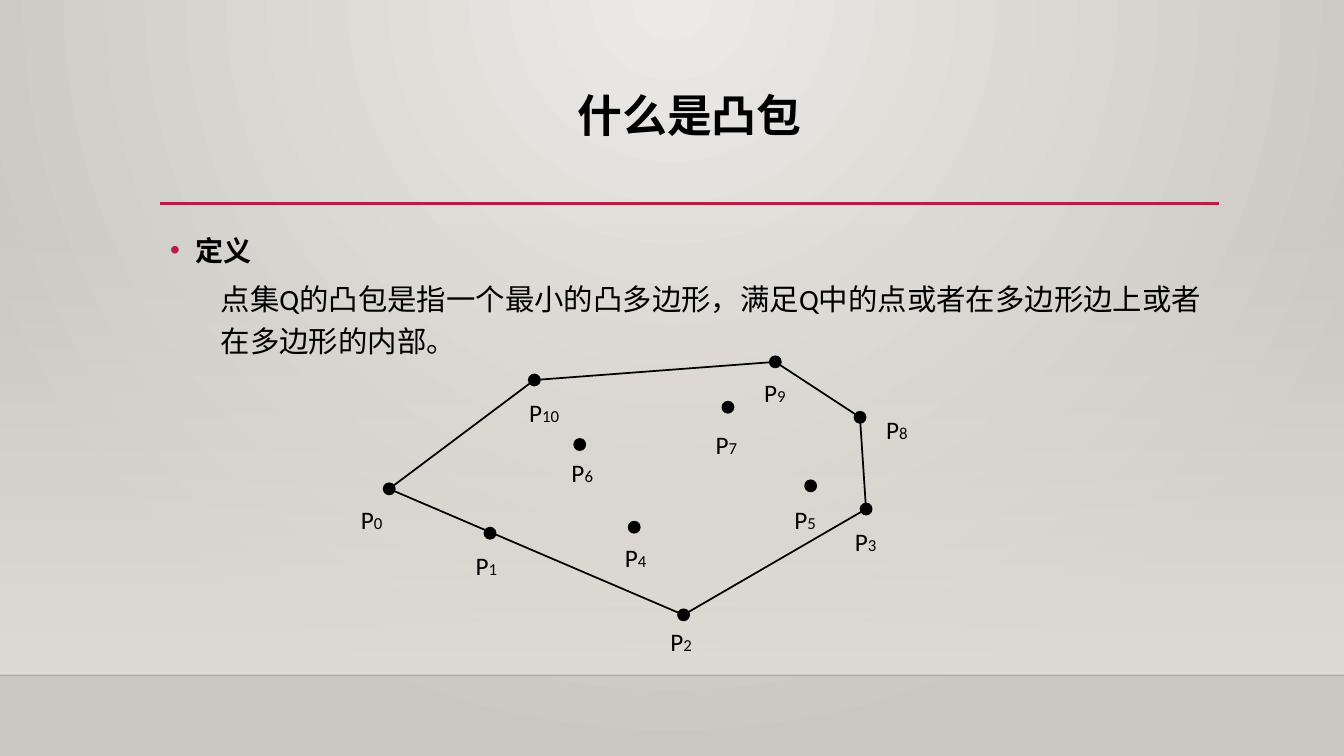
from dataclasses import dataclass

from lxml import etree
from pptx import Presentation
from pptx.dml.color import RGBColor
from pptx.enum.shapes import MSO_CONNECTOR, MSO_SHAPE
from pptx.enum.text import MSO_ANCHOR, MSO_AUTO_SIZE, PP_ALIGN
from pptx.oxml import parse_xml
from pptx.oxml.ns import nsdecls, qn
from pptx.util import Inches, Pt

STRAIGHT = MSO_CONNECTOR.STRAIGHT
RECTANGLE, OVAL = MSO_SHAPE.RECTANGLE, MSO_SHAPE.OVAL
TOP, CENTER = MSO_ANCHOR.TOP, PP_ALIGN.CENTER
FIT_TEXT = MSO_AUTO_SIZE.SHAPE_TO_FIT_TEXT

# Content
TITLE = "什么是凸包"
HEADING = "定义"
DEFINITION = "点集Q的凸包是指一个最小的凸多边形，满足Q中的点或者在多边形边上或者在多边形的内部。"

# Point number: (dot centre, label corner), in inches
POINTS = {
    0: ((3.86, 4.85), (3.48, 4.95)),
    1: ((4.86, 5.29), (4.62, 5.41)),
    2: ((6.78, 6.1), (6.55, 6.16)),
    3: ((8.59, 5.05), (8.38, 5.17)),
    4: ((6.29, 5.23), (6.1, 5.33)),
    5: ((8.04, 4.82), (7.78, 4.95)),
    6: ((5.75, 4.41), (5.57, 4.49)),
    7: ((7.22, 4.04), (7, 4.21)),
    8: ((8.53, 4.14), (8.69, 4.06)),
    9: ((7.69, 3.59), (7.48, 3.69)),
    10: ((5.3, 3.77), (5.15, 3.89)),
}
HULL = (0, 10, 9, 8, 3, 2)


@dataclass(frozen=True)
class Theme:
    font: str = "Calibri"
    ink: str = "000000"
    accent: str = "B71E42"
    glow: str = "ECEAE7"
    edge: str = "CAC7C1"
    wall: str = "DFDBD5"
    floor_line: str = "000001"
    title: int = 32
    heading: int = 20
    body: int = 21
    label: int = 18
    index: int = 12
    outline: float = 1.25


THEME = Theme()

# Layout, in inches
WIDTH, HEIGHT = 13.33, 7.5
MARGIN, COLUMN = 1.59, 10.5
TITLE_TOP, RULE_Y, BODY_TOP, WALL_TOP, FLOOR_Y = 0.88, 2.02, 2.2, 2.21, 6.7
DOT = 0.11
LABEL_WIDTH, DIGIT_WIDTH, LABEL_HEIGHT = 0.34, 0.1, 0.4

deck = Presentation()
deck.slide_width, deck.slide_height = Inches(WIDTH), Inches(HEIGHT)
page = deck.slides.add_slide(deck.slide_layouts[6])


def color(value):
    return RGBColor.from_string(value)


def gradient(start, end, direction, start_alpha=100):
    return parse_xml(
        f'<a:gradFill {nsdecls("a")} rotWithShape="1"><a:gsLst>'
        f'<a:gs pos="0"><a:srgbClr val="{start}"><a:alpha val="{start_alpha * 1000}"/></a:srgbClr></a:gs>'
        f'<a:gs pos="100000"><a:srgbClr val="{end}"/></a:gs></a:gsLst>{direction}</a:gradFill>')


def swap_solid(parent, fill):
    parent.replace(parent.find(qn("a:solidFill")), fill)


def add_rule(left, right, y, ink, weight):
    rule = page.shapes.add_connector(STRAIGHT, Inches(left), Inches(y), Inches(right), Inches(y))
    rule.line.color.rgb = color(ink)
    rule.line.width = Pt(weight)
    etree.SubElement(rule._element.spPr, qn("a:effectLst"))
    return rule


def add_text(left, top, width, height, wrap=True):
    box = page.shapes.add_textbox(Inches(left), Inches(top), Inches(width), Inches(height))
    frame = box.text_frame
    frame.word_wrap = wrap
    frame.vertical_anchor = TOP
    return frame


def style(para, size, bold=False):
    para.font.name = THEME.font
    para.font.size = Pt(size)
    para.font.bold = bold
    para.font.color.rgb = color(THEME.ink)


def indent(para, left, first):
    properties = para._p.get_or_add_pPr()
    properties.set("marL", str(Inches(left)))
    properties.set("indent", str(Inches(first)))
    return properties


# Backdrop
page.background.fill.solid()
swap_solid(page.element.find(".//" + qn("p:bgPr")), gradient(
    THEME.glow, THEME.edge,
    '<a:path path="circle"><a:fillToRect l="43000" r="43000" b="100000"/></a:path>'))

wall = page.shapes.add_shape(RECTANGLE, 0, Inches(WALL_TOP), Inches(WIDTH), Inches(FLOOR_Y - WALL_TOP))
wall.shadow.inherit = False
wall.line.fill.background()
wall.fill.solid()
swap_solid(wall._element.spPr, gradient(THEME.wall, THEME.wall, '<a:lin ang="5400000" scaled="0"/>', 0))

floor = add_rule(0, WIDTH, FLOOR_Y, THEME.floor_line, 1)
floor_ink = floor._element.spPr.find(".//" + qn("a:srgbClr"))
etree.SubElement(floor_ink, qn("a:alpha")).set("val", "20000")
add_rule(MARGIN, MARGIN + COLUMN, RULE_Y, THEME.accent, 2.5)

# Title
para = add_text(MARGIN, TITLE_TOP, COLUMN, 1.15).paragraphs[0]
para.text = TITLE
para.alignment = CENTER
para.line_spacing = 0.9
style(para, THEME.title, True)

# Definition
frame = add_text(MARGIN, BODY_TOP, COLUMN, 3.77)
heading, definition = frame.paragraphs[0], frame.add_paragraph()
for para, text, size, bold, before in (
        (heading, HEADING, THEME.heading, True, 10),
        (definition, DEFINITION, THEME.body, False, 5)):
    para.text = text
    para.line_spacing = 1.2
    para.space_before = Pt(before)
    style(para, size, bold)
indent(definition, 0.5, 0)
bullet_parts = (
    f'<a:buClr {nsdecls("a")}><a:srgbClr val="{THEME.accent}"/></a:buClr>',
    f'<a:buFont {nsdecls("a")} typeface="Arial"/>',
    f'<a:buChar {nsdecls("a")} char="•"/>')
properties = indent(heading, 0.25, -0.25)
run_defaults = properties.find(qn("a:defRPr"))
for part in bullet_parts:
    run_defaults.addprevious(parse_xml(part))

# Convex hull
corners = [tuple(Inches(value) for value in POINTS[number][0]) for number in HULL]
builder = page.shapes.build_freeform(*corners[0])
builder.add_line_segments(corners[1:], close=True)
hull = builder.convert_to_shape()
hull.shadow.inherit = False
hull.fill.background()
hull.line.color.rgb = color(THEME.ink)
hull.line.width = Pt(THEME.outline)

# Points and their labels
for number, ((x, y), (left, top)) in POINTS.items():
    dot = page.shapes.add_shape(OVAL, Inches(x - DOT / 2), Inches(y - DOT / 2), Inches(DOT), Inches(DOT))
    dot.shadow.inherit = False
    dot.fill.solid()
    dot.fill.fore_color.rgb = dot.line.color.rgb = color(THEME.ink)
    dot.line.width = Pt(THEME.outline)

    label_width = LABEL_WIDTH + DIGIT_WIDTH * len(str(number))
    frame = add_text(left, top, label_width, LABEL_HEIGHT, wrap=False)
    frame.auto_size = FIT_TEXT
    para = frame.paragraphs[0]
    style(para, THEME.label)
    for text, size in (("P", THEME.label), (str(number), THEME.index)):
        span = para.add_run()
        span.text = text
        span.font.size = Pt(size)

deck.save("out.pptx")
